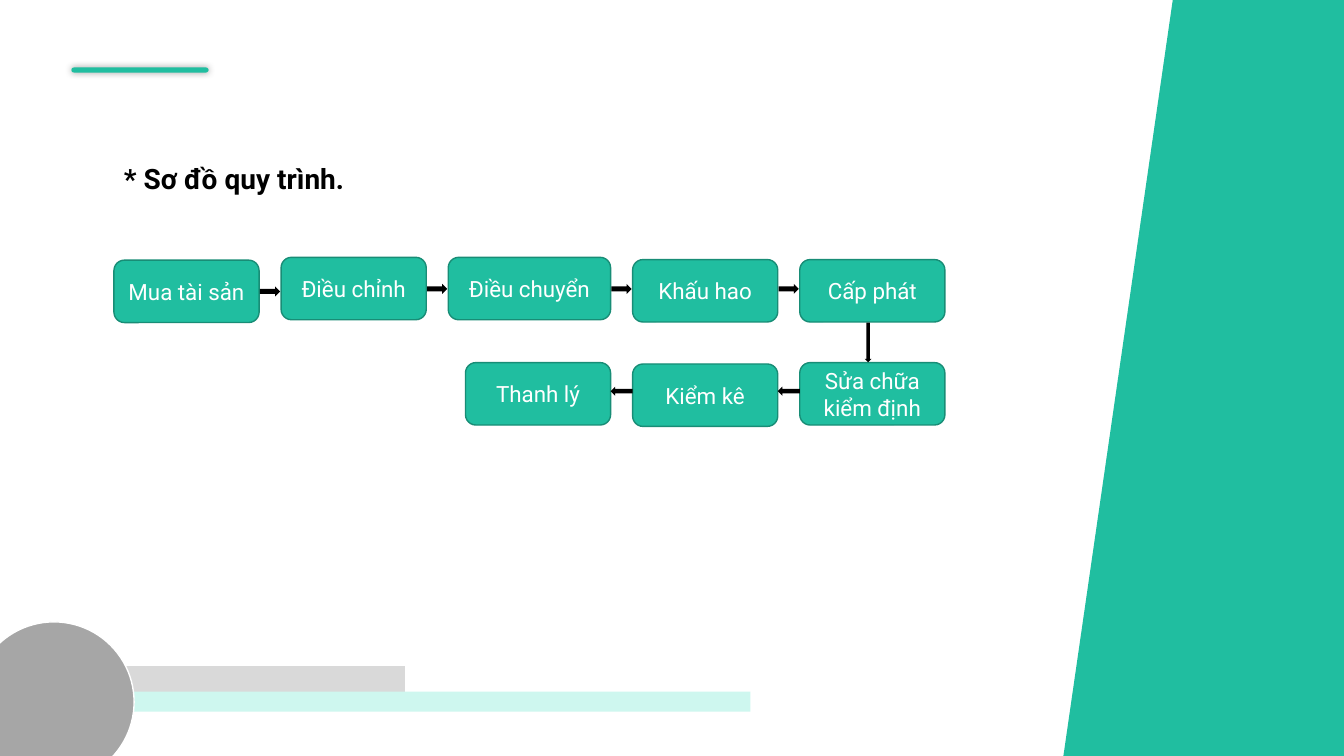
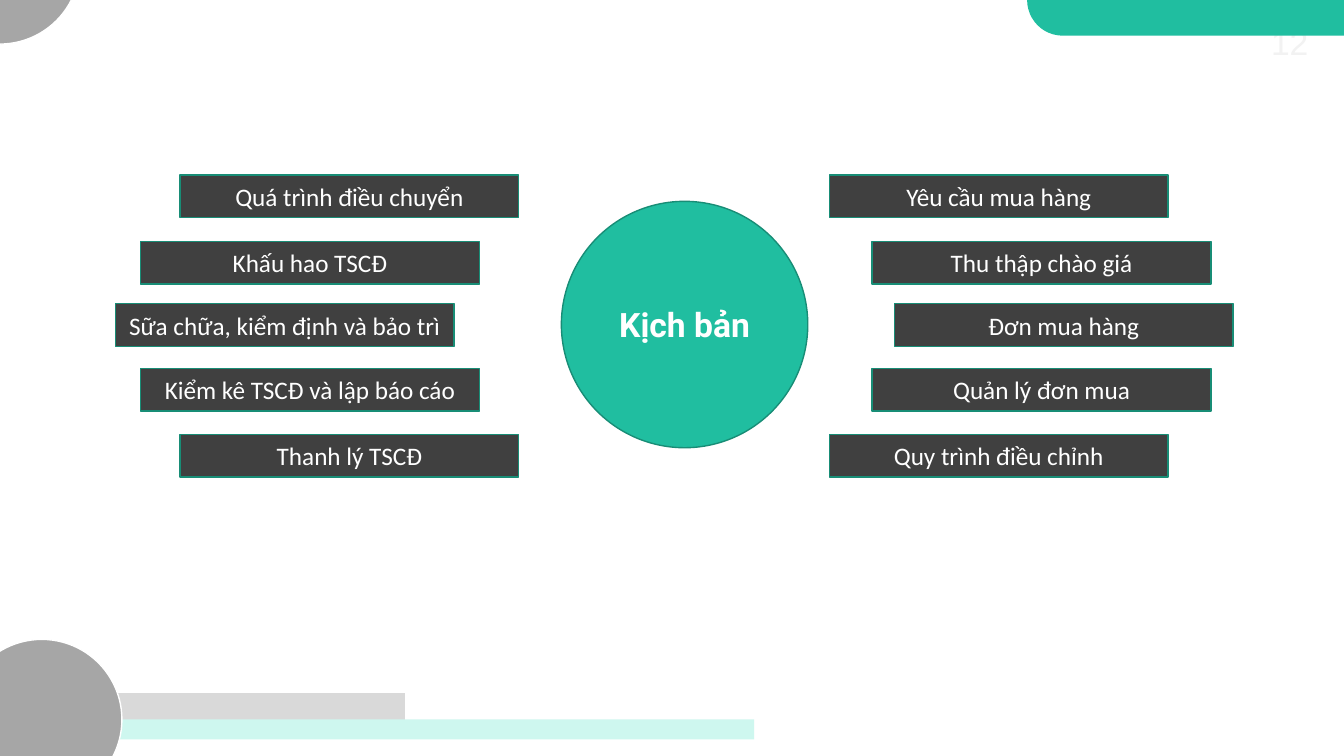
from dataclasses import dataclass

from lxml import etree
from pptx import Presentation
from pptx.dml.color import RGBColor
from pptx.enum.shapes import MSO_SHAPE as Form
from pptx.enum.text import MSO_AUTO_SIZE as AutoSize, PP_ALIGN as Align
from pptx.oxml import parse_xml
from pptx.oxml.ns import nsdecls
from pptx.util import Pt


@dataclass(frozen=True)
class Theme:
    teal: str = "20BEA0"
    teal_dark: str = "188D76"
    mint: str = "CEF7EF"
    charcoal: str = "404040"
    grey: str = "A6A6A6"
    grey_light: str = "D9D9D9"
    grey_faint: str = "F2F2F2"
    white: str = "FFFFFF"
    black: str = "000000"
    main_font: str = "Roboto"
    label_font: str = "Calibri"
    number_font: str = "Arial"
    heading_size: int = 20
    step_size: int = 16
    label_size: int = 18
    large_size: int = 24
    ball: float = 114.5


theme = Theme()


def write(box, text, font, size, color, bold=False, align=Align.CENTER):
    """Fill the box with one paragraph in a single style."""
    box.text_frame.word_wrap = True
    para = box.text_frame.paragraphs[0]
    para.text = text
    para.alignment = align
    para.font.name = font
    para.font.size = Pt(size)
    para.font.bold = bold
    para.font.color.rgb = RGBColor.from_string(color)
    return para


def draw(page, form, left, top, width, height, fill, line=None):
    """Add a flat preset shape, outlined only when a line colour is given."""
    shape = page.shapes.add_shape(form, Pt(left), Pt(top), Pt(width), Pt(height))
    shape.shadow.inherit = False
    shape.fill.solid()
    shape.fill.fore_color.rgb = RGBColor.from_string(fill)
    if line:
        shape.line.color.rgb = RGBColor.from_string(line)
        shape.line.width = Pt(1)
    else:
        shape.line.fill.background()
    return shape


deck = Presentation()
deck.slide_width, deck.slide_height = Pt(960), Pt(540)
process_page, scenario_page = (
    deck.slides.add_slide(deck.slide_layouts[6]) for _ in range(2)
)

# Process page: accent bar, heading and slanted panel
accent = draw(process_page, Form.ROUNDED_RECTANGLE, 51, 48.2, 98, 3.6, theme.teal)
accent.adjustments[0] = 0.5
effects = accent._element.spPr.find("{*}effectLst")
glow = parse_xml(f'<a:outerShdw {nsdecls("a")} blurRad="{Pt(5)}" dist="0" dir="0"/>')
glow_color = etree.SubElement(glow, glow.tag.replace("outerShdw", "srgbClr"), val=theme.black)
etree.SubElement(glow_color, glow.tag.replace("outerShdw", "alpha"), val="40000")
effects.append(glow)

heading = process_page.shapes.add_textbox(Pt(81.4), Pt(111.6), Pt(598), Pt(31.7))
heading.text_frame.auto_size = AutoSize.SHAPE_TO_FIT_TEXT
para = write(heading, "* Sơ đồ quy trình.", theme.main_font, theme.heading_size,
             theme.black, bold=True, align=Align.JUSTIFY)
para.space_before = para.space_after = Pt(6)
draw(process_page, Form.PARALLELOGRAM, 759.6, 0, 312.5, 540, theme.teal)

# Scenario page: page number beneath the corner tab
number = scenario_page.shapes.add_textbox(Pt(706.3), Pt(12.2), Pt(235.4), Pt(36))
number.text_frame.auto_size = AutoSize.SHAPE_TO_FIT_TEXT
write(number, "12", theme.number_font, theme.large_size, theme.grey_faint, align=Align.RIGHT)
tab = draw(scenario_page, Form.ROUNDED_RECTANGLE, 733.7, -25.5, 581, 51, theme.teal)
tab.adjustments[0] = 0.5

# Footer: two bands with a ball on their left end
for page, grey_top, mint_left, mint_top, ball_left, ball_top in (
    (process_page, 475.2, 26, 494, -18.7, 444.2),
    (scenario_page, 494.8, 28.8, 513.8, -27.4, 456.7),
):
    draw(page, Form.RECTANGLE, 51, grey_top, 239, 26, theme.grey_light, theme.white)
    draw(page, Form.RECTANGLE, mint_left, mint_top, 510, 14.4, theme.mint)
    draw(page, Form.OVAL, ball_left, ball_top, theme.ball, theme.ball, theme.grey, theme.white)

# Process steps: first row runs right, second row runs back left
step_width, step_height, gap = 103.7, 44.6, 15.7
steps = []
left = 81.4
for text, top, width in (
    ("Mua tài sản", 185.8, step_width),
    ("Điều chỉnh", 183.8, step_width),
    ("Điều chuyển", 183.8, 116),
    ("Khấu hao", 185.4, step_width),
    ("Cấp phát", 185.4, step_width),
):
    steps.append((text, left, top, width))
    left += width + gap
last_left = steps[-1][1]
for index, (text, top) in enumerate(
    (("Sửa chữa kiểm định", 259), ("Kiểm kê", 260), ("Thanh lý", 259))
):
    steps.append((text, last_left - index * (step_width + gap), top, step_width))

for text, left, top, width in steps:
    step = draw(process_page, Form.ROUNDED_RECTANGLE, left, top, width, step_height,
                theme.teal, theme.teal_dark)
    write(step, text, theme.main_font, theme.step_size, theme.white)

for (_, left, _, width), arrow_top in zip(steps[:4], (204.6, 202.8, 202.8, 202.8)):
    draw(process_page, Form.RIGHT_ARROW, left + width + 0.6, arrow_top, 14.4, 7.2, theme.black)
draw(process_page, Form.DOWN_ARROW, 617.6, 230.4, 5, 28.4, theme.black)
for _, left, _, width in steps[6:]:
    draw(process_page, Form.LEFT_ARROW, left + width, 276.2, gap, 6.5, theme.black)

# Scenario hub with a curved column of labels on each side
hub = draw(scenario_page, Form.OVAL, 401, 143.8, 176, 176, theme.teal, theme.teal_dark)
write(hub, "Kịch bản", theme.main_font, theme.large_size, theme.white, bold=True)

right_labels = ("Yêu cầu mua hàng", "Thu thập chào giá", "Đơn mua hàng",
                "Quản lý đơn mua", "Quy trình điều chỉnh")
left_labels = ("Quá trình điều chuyển", "Khấu hao TSCĐ", "Sữa chữa, kiểm định và bảo trì",
               "Kiểm kê TSCĐ và lập báo cáo", "Thanh lý TSCĐ")
label_tops = (125, 172.6, 217, 263.2, 310.4)
for labels, (outer, inner, middle) in (
    (right_labels, (592.4, 623, 638.8)),
    (left_labels, (128.6, 100.4, 82.3)),
):
    for text, left, top in zip(labels, (outer, inner, middle, inner, outer), label_tops):
        label = draw(scenario_page, Form.RECTANGLE, left, top, 242, 30.4,
                     theme.charcoal, theme.teal_dark)
        write(label, text, theme.label_font, theme.label_size, theme.white)

draw(scenario_page, Form.OVAL, -57.4, -83, theme.ball, theme.ball, theme.grey, theme.white)

deck.save("out.pptx")
